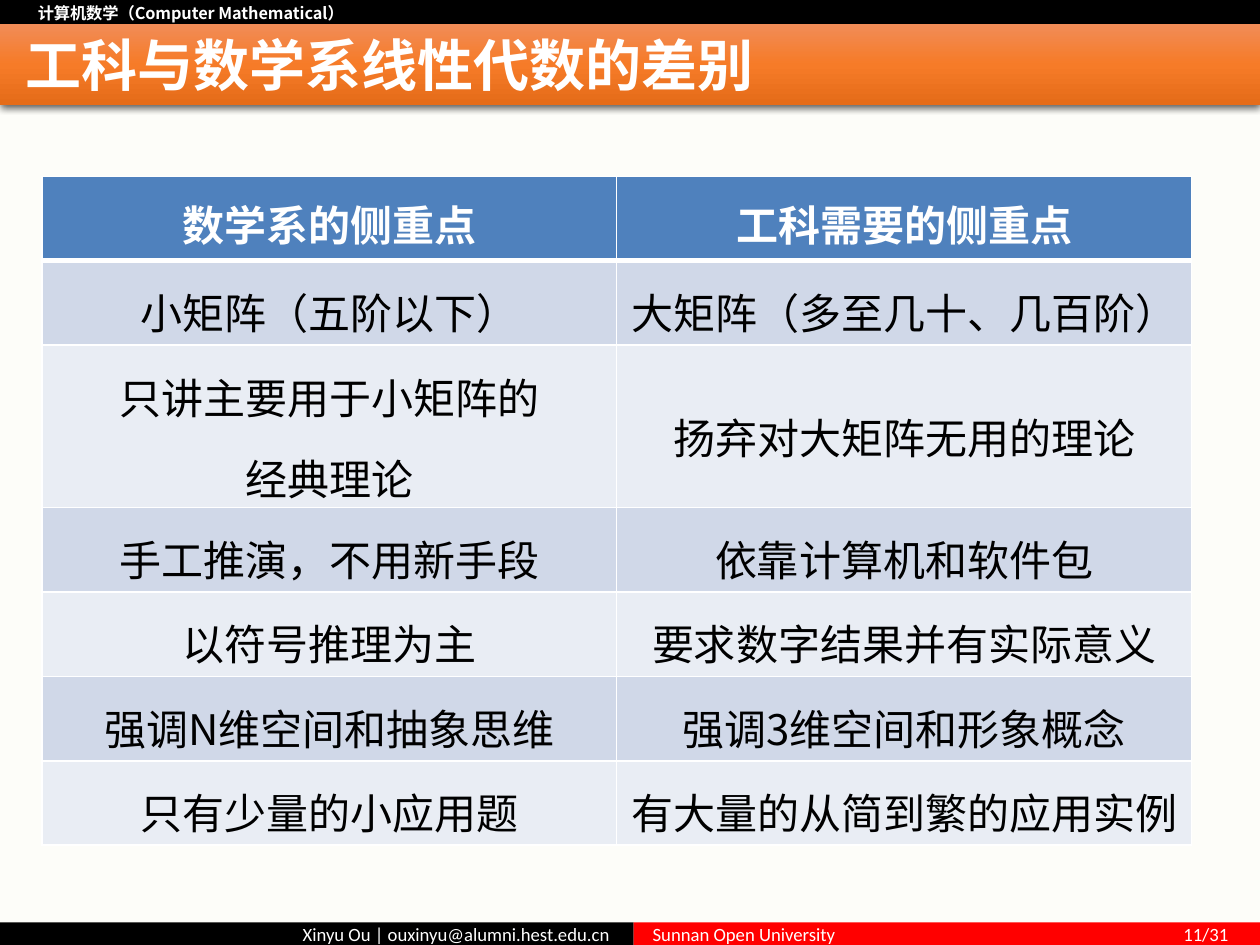
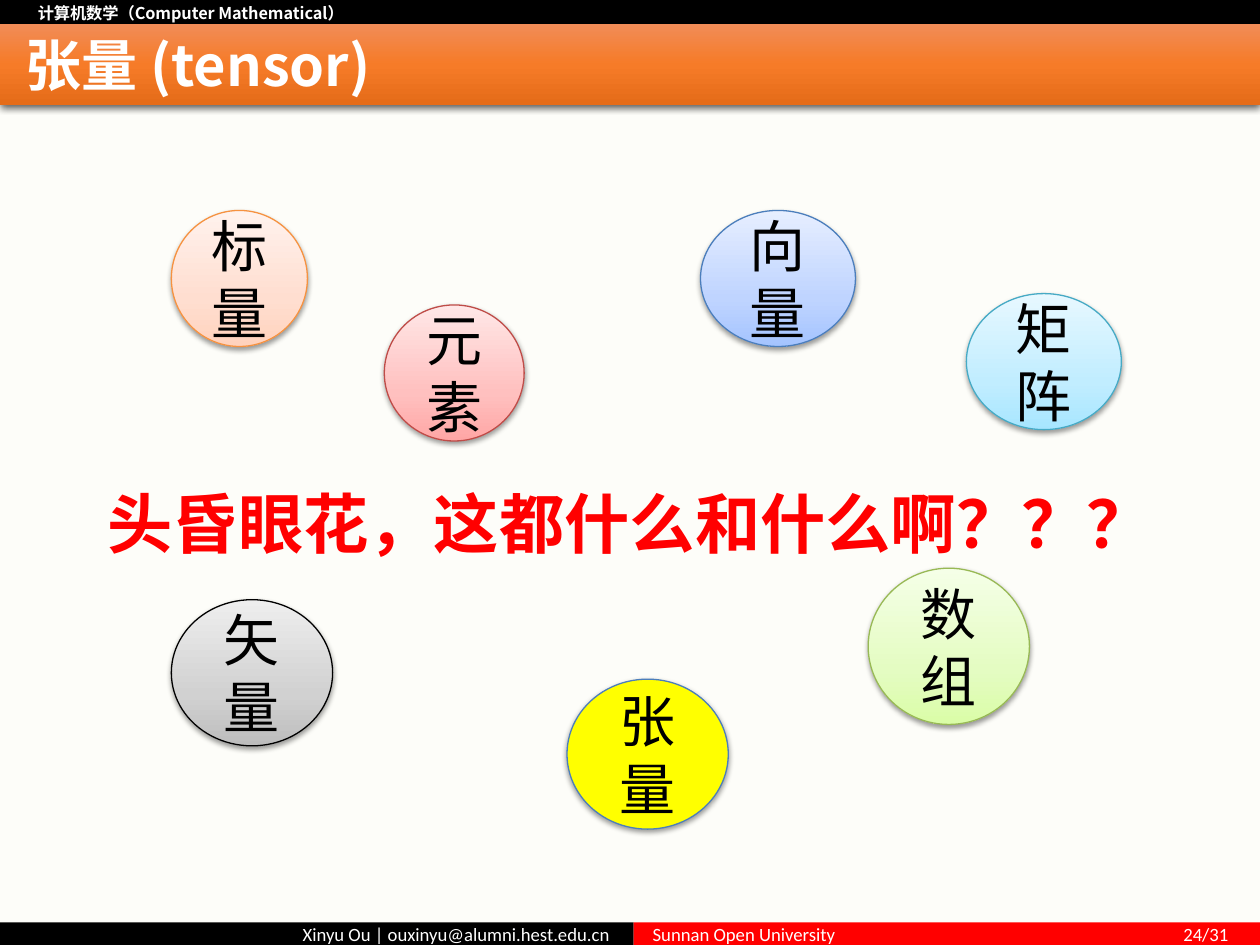
import lxml.etree
import pptx
import pptx.dml.color
import pptx.enum.shapes
import pptx.enum.text
import pptx.oxml.ns
import pptx.util

RGB = pptx.dml.color.RGBColor
SHAPE = pptx.enum.shapes.MSO_SHAPE
ALIGN = pptx.enum.text.PP_ALIGN
ANCHOR = pptx.enum.text.MSO_ANCHOR

BLACK = RGB(0, 0, 0)
WHITE = RGB(255, 255, 255)
RED = RGB(255, 0, 0)
YELLOW = RGB(255, 255, 0)
CREAM = RGB(0xFD, 0xFD, 0xF9)
BLUE = RGB(0x4F, 0x81, 0xBD)
PALE = RGB(0xE9, 0xED, 0xF4)
MIST = RGB(0xD0, 0xD8, 0xE8)
NAVY = RGB(0x4B, 0x7E, 0xBC)
ORANGE = RGB(0xF6, 0x92, 0x40)
TEAL = RGB(0x46, 0xAA, 0xC5)
GREEN = RGB(0x98, 0xB9, 0x55)
ROSE = RGB(0xBF, 0x4C, 0x48)

BAND = [(0, RGB(0xF1, 0x8C, 0x57)), (50, RGB(0xF6, 0x7B, 0x28)), (100, RGB(0xE5, 0x6C, 0x19))]


def blend(light, mid, dark):
    return [(0, light), (65, mid), (100, dark)]


PEACH = blend(RGB(0xFF, 0xF2, 0xED), RGB(0xFF, 0xDE, 0xD0), RGB(0xFF, 0xD2, 0xBD))
SKY = blend(RGB(0xE6, 0xEE, 0xFF), RGB(0xBF, 0xD4, 0xFF), RGB(0xA4, 0xC4, 0xFF))
AQUA = blend(RGB(0xE7, 0xF8, 0xFF), RGB(0xC1, 0xED, 0xFF), RGB(0xA7, 0xE6, 0xFF))
GREY = blend(RGB(0xEE, 0xEE, 0xEE), RGB(0xD1, 0xD1, 0xD1), RGB(0xBD, 0xBD, 0xBD))
LIME = blend(RGB(0xF5, 0xFF, 0xE7), RGB(0xE4, 0xFC, 0xC2), RGB(0xDA, 0xFD, 0xA7))
PINK = blend(RGB(0xFF, 0xE7, 0xE7), RGB(0xFF, 0xC0, 0xBF), RGB(0xFF, 0xA6, 0xA5))

COLS, ROWS = 100, 75
HAN = "Noto Sans CJK SC"
LATIN = "Calibri"
PLAIN = "Arial"
PAGES = 31
SHORT, TALL = 6.7, 12.9


def add(node, tag, **attrs):
    return lxml.etree.SubElement(node, pptx.oxml.ns.qn(tag), attrs)


class Deck:
    def __init__(self):
        self.file = pptx.Presentation()
        self.file.slide_width = pptx.util.Inches(10)
        self.file.slide_height = pptx.util.Inches(7.5)
        self.slide = None

    def area(self, left, top, width, height):
        col = self.file.slide_width / COLS
        row = self.file.slide_height / ROWS
        return [round(n * unit) for n, unit in zip((left, top, width, height), (col, row) * 2)]

    def page(self, title, number):
        self.slide = self.file.slides.add_slide(self.file.slide_layouts[6])
        back = self.slide.background.fill
        back.solid()
        back.fore_color.rgb = CREAM
        head = self.shape((0, 0, 100, 2.1), BLACK)
        self.text(head, "计算机数学（Computer Mathematical）", 9.3, HAN, bold=True, inset=(0.3, 0.04, 0.15, 0.04))
        left = self.shape((0, 73.2, 50.3, 1.8), BLACK)
        self.text(left, "Xinyu Ou | ouxinyu@alumni.hest.edu.cn", 10.7, LATIN,
                  align=ALIGN.RIGHT, inset=(0.15, 0.04, 0.19, 0.04))
        right = self.shape((50.3, 73.2, 49.7, 1.8), RED)
        self.text(right, f"Sunnan Open University\t{number}/{PAGES}", 10.7, LATIN,
                  anchor=ANCHOR.TOP, inset=(0.15, 0, 0.15, 0))
        tabs = add(right.text_frame.paragraphs[0]._p.get_or_add_pPr(), "a:tabLst")
        add(tabs, "a:tab", pos=str(pptx.util.Inches(4.57)), algn="r")
        band = self.shape((0, 1.9, 100, 6.4), BAND)
        self.shade(band, 63, 4.5, 1.5)
        self.label((0, 2.4, 100, 5.4), title, 32, HAN, bold=True, inset=(0.2, 0, 0, 0))

    def shape(self, area, fill, kind=SHAPE.RECTANGLE, line=None):
        item = self.slide.shapes.add_shape(kind, *self.area(*area))
        item.shadow.inherit = False
        if isinstance(fill, list):
            self.grade(item, fill)
        else:
            item.fill.solid()
            item.fill.fore_color.rgb = fill
        if line is None:
            item.line.fill.background()
        else:
            item.line.color.rgb = line
            item.line.width = pptx.util.Pt(0.75)
        return item

    def grade(self, item, stops):
        item.fill.gradient()
        item.fill.gradient_angle = 270
        chain = item._element.spPr.find(".//" + pptx.oxml.ns.qn("a:gsLst"))
        for old in list(chain):
            chain.remove(old)
        for place, color in stops:
            add(add(chain, "a:gs", pos=str(place * 1000)), "a:srgbClr", val=str(color))

    def shade(self, item, alpha, blur, drop):
        glow = add(item._element.spPr.find(pptx.oxml.ns.qn("a:effectLst")), "a:outerShdw",
                   blurRad=str(pptx.util.Pt(blur)), dist=str(pptx.util.Pt(drop)),
                   dir="5400000", algn="ctr", rotWithShape="0")
        add(add(glow, "a:srgbClr", val=str(BLACK)), "a:alpha", val=str(alpha * 1000))

    def text(self, item, words, size, font, color=WHITE, bold=False, align=ALIGN.LEFT,
             anchor=ANCHOR.MIDDLE, inset=(0.1, 0.05, 0.1, 0.05)):
        frame = item.text_frame
        frame.text = words
        frame.word_wrap = True
        frame.vertical_anchor = anchor
        (frame.margin_left, frame.margin_top,
         frame.margin_right, frame.margin_bottom) = map(pptx.util.Inches, inset)
        self.style(frame, size, font, color, bold, align)

    def style(self, frame, size, font, color, bold, align):
        for para in frame.paragraphs:
            para.alignment = align
            for run in para.runs:
                run.font.size = pptx.util.Pt(size)
                run.font.bold = bold
                run.font.color.rgb = color
                run.font.name = font
                add(run._r.rPr, "a:ea", typeface=HAN if font == HAN else LATIN)

    def label(self, area, words, size, font, **look):
        item = self.slide.shapes.add_textbox(*self.area(*area))
        self.text(item, words, size, font, **look)

    def disc(self, area, words, fill, line):
        item = self.shape(area, fill, SHAPE.OVAL, line)
        self.shade(item, 38, 3.1, 1.6)
        self.text(item, words, 32, PLAIN, BLACK, align=ALIGN.CENTER)

    def table(self, left, top, width, rows):
        sizes = [TALL if any("\n" in words for words in row) else SHORT for row in rows]
        area = self.area(left, top, width, sum(sizes))
        grid = self.slide.shapes.add_table(len(rows), len(rows[0]), *area).table
        for r, row in enumerate(rows):
            grid.rows[r].height = self.area(0, 0, 0, sizes[r])[3]
            for c, words in enumerate(row):
                self.cell(grid.cell(r, c), words, r)
        return grid

    def cell(self, cell, words, row):
        head = row == 0
        cell.text = words
        cell.margin_left = cell.margin_right = cell.margin_bottom = 0
        cell.margin_top = pptx.util.Inches(0.13 if head else 0.16)
        self.style(cell.text_frame, 24, HAN, WHITE if head else BLACK, head, ALIGN.CENTER)
        for para in cell.text_frame.paragraphs:
            para.space_before = pptx.util.Pt(9.2 if head else 11.7)
        thick = {"a:lnB": 0, "a:lnT": 1}
        for tag in ("a:lnL", "a:lnR", "a:lnT", "a:lnB"):
            width = pptx.util.Pt(3 if thick.get(tag) == row else 1)
            edge = add(cell._tc.get_or_add_tcPr(), tag, w=str(width))
            add(add(edge, "a:solidFill"), "a:srgbClr", val=str(WHITE))
        cell.fill.solid()
        cell.fill.fore_color.rgb = BLUE if head else (PALE, MIST)[row % 2]


FOCUS = [
    ("数学系的侧重点", "工科需要的侧重点"),
    ("小矩阵（五阶以下）", "大矩阵（多至几十、几百阶）"),
    ("只讲主要用于小矩阵的\n经典理论", "扬弃对大矩阵无用的理论"),
    ("手工推演，不用新手段", "依靠计算机和软件包"),
    ("以符号推理为主", "要求数字结果并有实际意义"),
    ("强调N维空间和抽象思维", "强调3维空间和形象概念"),
    ("只有少量的小应用题", "有大量的从简到繁的应用实例"),
]

TERMS = [
    ((13.6, 16.7, 10.8, 10.8), "标量", PEACH, ORANGE),
    ((55.6, 16.7, 12.3, 10.8), "向量", SKY, NAVY),
    ((45, 53.9, 12.8, 11.9), "张量", YELLOW, NAVY),
    ((76.7, 23.3, 12.3, 10.8), "矩阵", AQUA, TEAL),
    ((13.6, 47.6, 12.8, 11.6), "矢量", GREY, BLACK),
    ((68.9, 45.1, 12.8, 12.4), "数组", LIME, GREEN),
    ((30.5, 24.2, 11.1, 10.8), "元素", PINK, ROSE),
]


def main():
    deck = Deck()
    deck.page("工科与数学系线性代数的差别", 11)
    grid = deck.table(3.35, 14, 91.2, FOCUS)
    grid.cell(2, 1).vertical_anchor = ANCHOR.MIDDLE

    deck.page("张量 (tensor)", 24)
    for term in TERMS:
        deck.disc(*term)
    deck.label((0, 37.9, 100, 7.3), "头昏眼花，这都什么和什么啊？？？", 37.3, PLAIN,
               color=RED, bold=True, align=ALIGN.CENTER, anchor=ANCHOR.TOP)
    deck.file.save("out.pptx")


if __name__ == "__main__":
    main()
